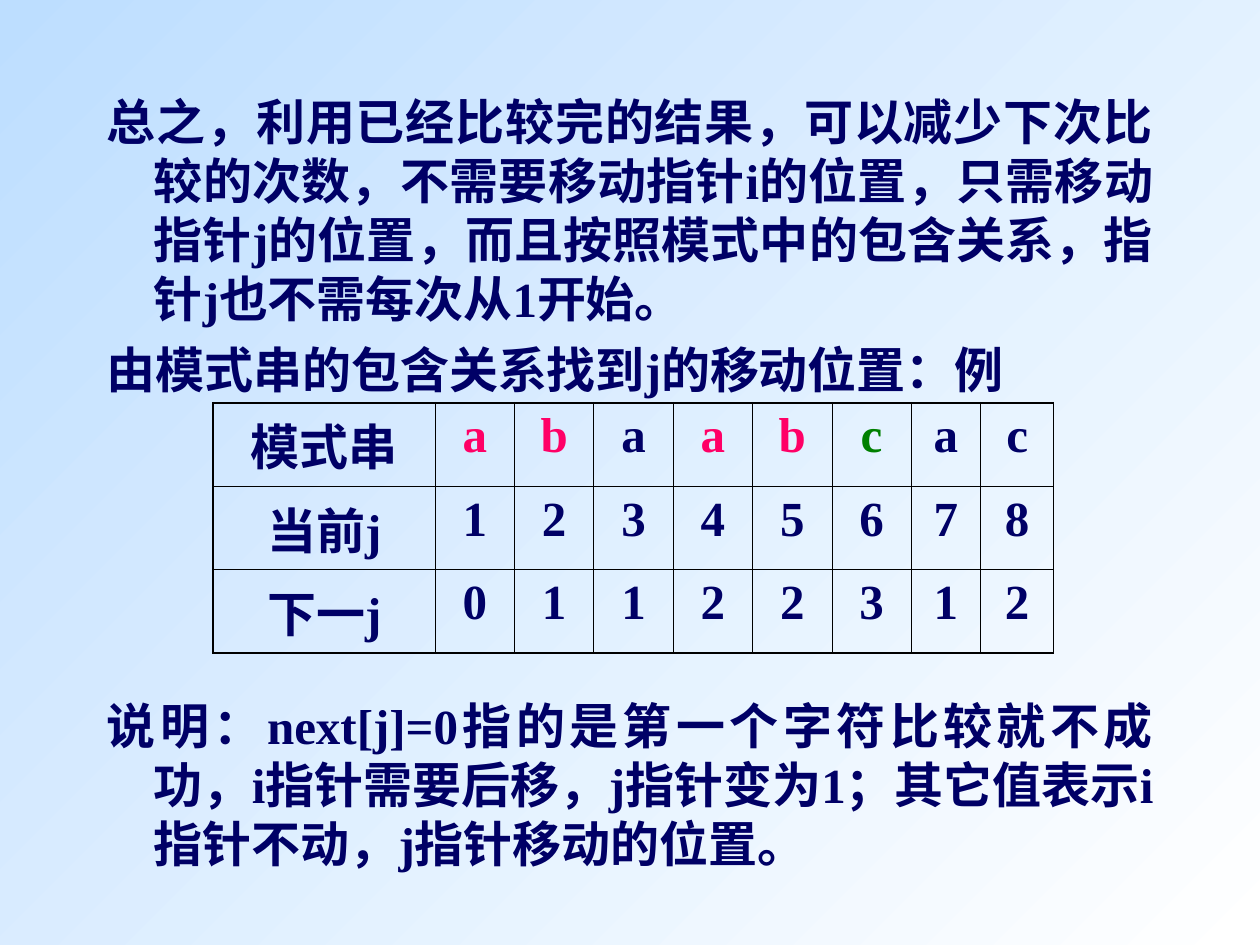
from dataclasses import dataclass

from lxml.etree import SubElement
from pptx import Presentation
from pptx.dml.color import RGBColor
from pptx.enum.text import PP_ALIGN as Align
from pptx.oxml.ns import qn
from pptx.util import Cm, Pt

NAVY, PINK, GREEN, BLACK = "000066", "FF0066", "008000", "000000"
WHITE, SKY = "FFFFFF", "BDDEFF"
THIN, THICK = Pt(0.45), Pt(1.08)
FONT = {"name": "Times New Roman", "size": Pt(28), "bold": True}
BODY = {"alignment": Align.JUSTIFY, "line_spacing": 1.0}
CENTRED = {"alignment": Align.CENTER}
HANGING = {"marL": "342900", "indent": "-342900", "hangingPunct": "0"}


@dataclass
class Statement:
    text: str
    gap: float = 0


@dataclass
class Row:
    label: str
    values: str
    colours: tuple = (NAVY,) * 8


STATEMENTS = [
    Statement("总之，利用已经比较完的结果，可以减少下次比较的次数，不需要移动指针i的位置，"
              "只需移动指针j的位置，而且按照模式中的包含关系，指针j也不需每次从1开始。"),
    Statement("由模式串的包含关系找到j的移动位置：例", 7),
    Statement("说明：next[j]=0指的是第一个字符比较就不成功，i指针需要后移，"
              "j指针变为1；其它值表示i指针不动，j指针移动的位置。", 170),
]
ROWS = [
    Row("模式串", "abaabcac", (PINK, PINK, NAVY, PINK, PINK, GREEN, NAVY, NAVY)),
    Row("当前j", "12345678"),
    Row("下一j", "01122312"),
]
ROW_HEIGHT = 1.68
COLUMN_WIDTHS = [4.47] + [1.6] * 6 + [1.4, 1.47]


def rgb(value: str) -> RGBColor:
    return RGBColor.from_string(value)


def apply(target, values: dict) -> None:
    for attribute, value in values.items():
        setattr(target, attribute, value)


def write(paragraph, text: str, layout: dict, colour: str = NAVY) -> None:
    apply(paragraph, layout)
    run = paragraph.add_run()
    run.text = text
    apply(run.font, FONT)
    run.font.color.rgb = rgb(colour)


def draw_border(cell, side: str, width: int) -> None:
    line = SubElement(cell._tc.get_or_add_tcPr(), qn(f"a:ln{side}"), w=str(width))
    SubElement(SubElement(line, qn("a:solidFill")), qn("a:srgbClr"), val=BLACK)


def draw_background(slide) -> None:
    fill = slide.background.fill
    fill.gradient()
    fill.gradient_angle = 135
    for stop, colour in zip(fill.gradient_stops, (WHITE, SKY)):
        stop.color.rgb = rgb(colour)


def draw_statements(slide, statements: list[Statement]) -> None:
    explanation = slide.shapes.add_textbox(Cm(1.9), Cm(1.73), Cm(21.6), Cm(16.4)).text_frame
    explanation.word_wrap = True
    for index, statement in enumerate(statements):
        paragraph = explanation.add_paragraph() if index else explanation.paragraphs[0]
        for attribute, value in HANGING.items():
            paragraph._p.get_or_add_pPr().set(attribute, value)
        write(paragraph, statement.text, BODY | {"space_before": Pt(statement.gap)})


def draw_next_table(slide, rows: list[Row]) -> None:
    last_row, last_column = len(rows) - 1, len(COLUMN_WIDTHS) - 1
    next_table = slide.shapes.add_table(
        len(rows), len(COLUMN_WIDTHS), Cm(4.3), Cm(8.12),
        Cm(sum(COLUMN_WIDTHS)), Cm(ROW_HEIGHT * len(rows))).table
    apply(next_table, {"first_row": False, "horz_banding": False})
    for column, width in zip(next_table.columns, COLUMN_WIDTHS):
        column.width = Cm(width)
    for r, row in enumerate(rows):
        next_table.rows[r].height = Cm(ROW_HEIGHT)
        entries = zip([row.label, *row.values], (NAVY, *row.colours))
        for c, (text, colour) in enumerate(entries):
            cell = next_table.cell(r, c)
            outer = {"L": c == 0, "R": c == last_column, "T": r == 0, "B": r == last_row}
            for side, is_outer in outer.items():
                draw_border(cell, side, THICK if is_outer else THIN)
            cell.fill.background()
            write(cell.text_frame.paragraphs[0], text, CENTRED, colour)


def main() -> None:
    deck = Presentation()
    apply(deck, {"slide_width": Cm(25.4), "slide_height": Cm(19.05)})
    slide = deck.slides.add_slide(deck.slide_layouts[6])
    draw_background(slide)
    draw_statements(slide, STATEMENTS)
    draw_next_table(slide, ROWS)
    deck.save("out.pptx")


if __name__ == "__main__":
    main()
